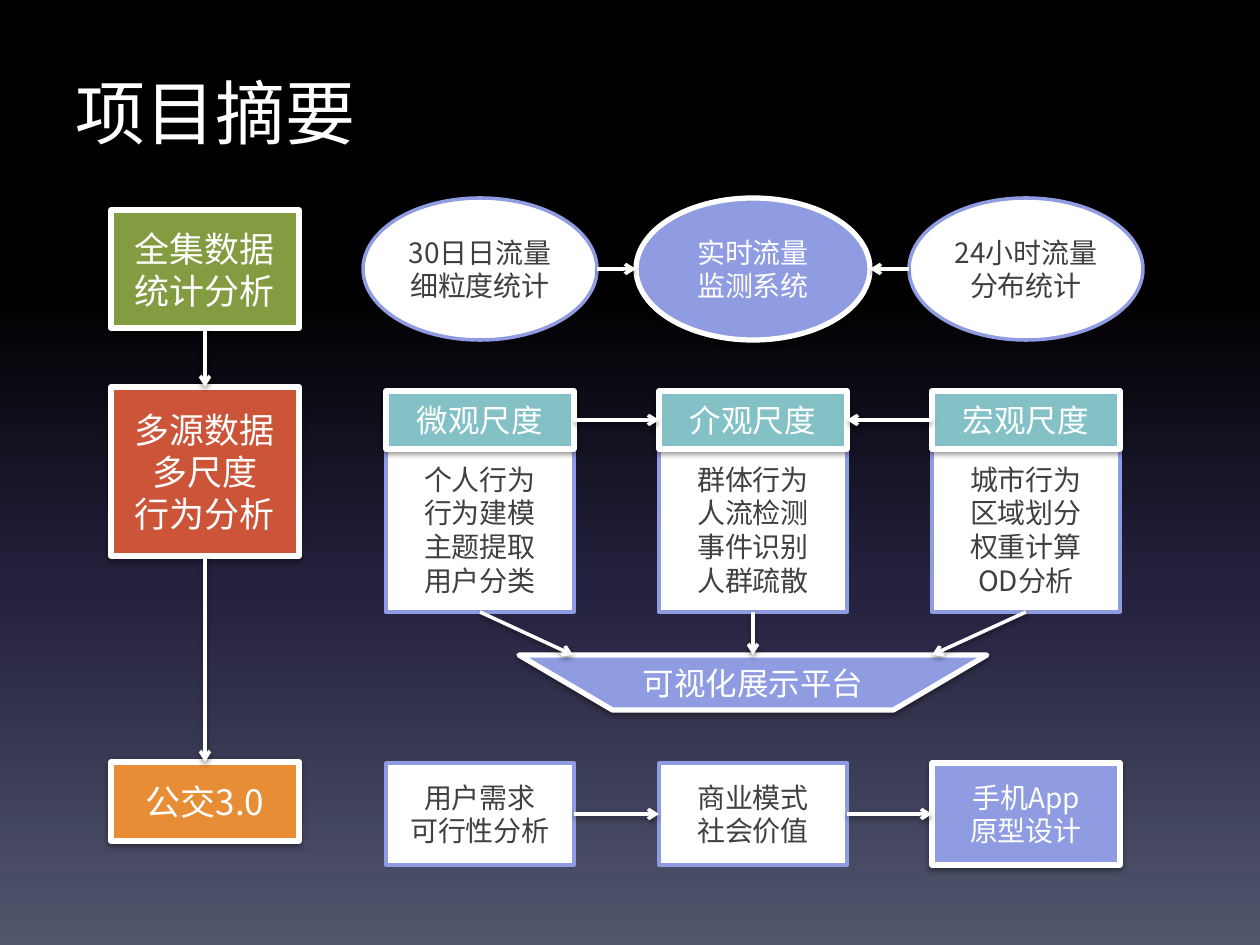
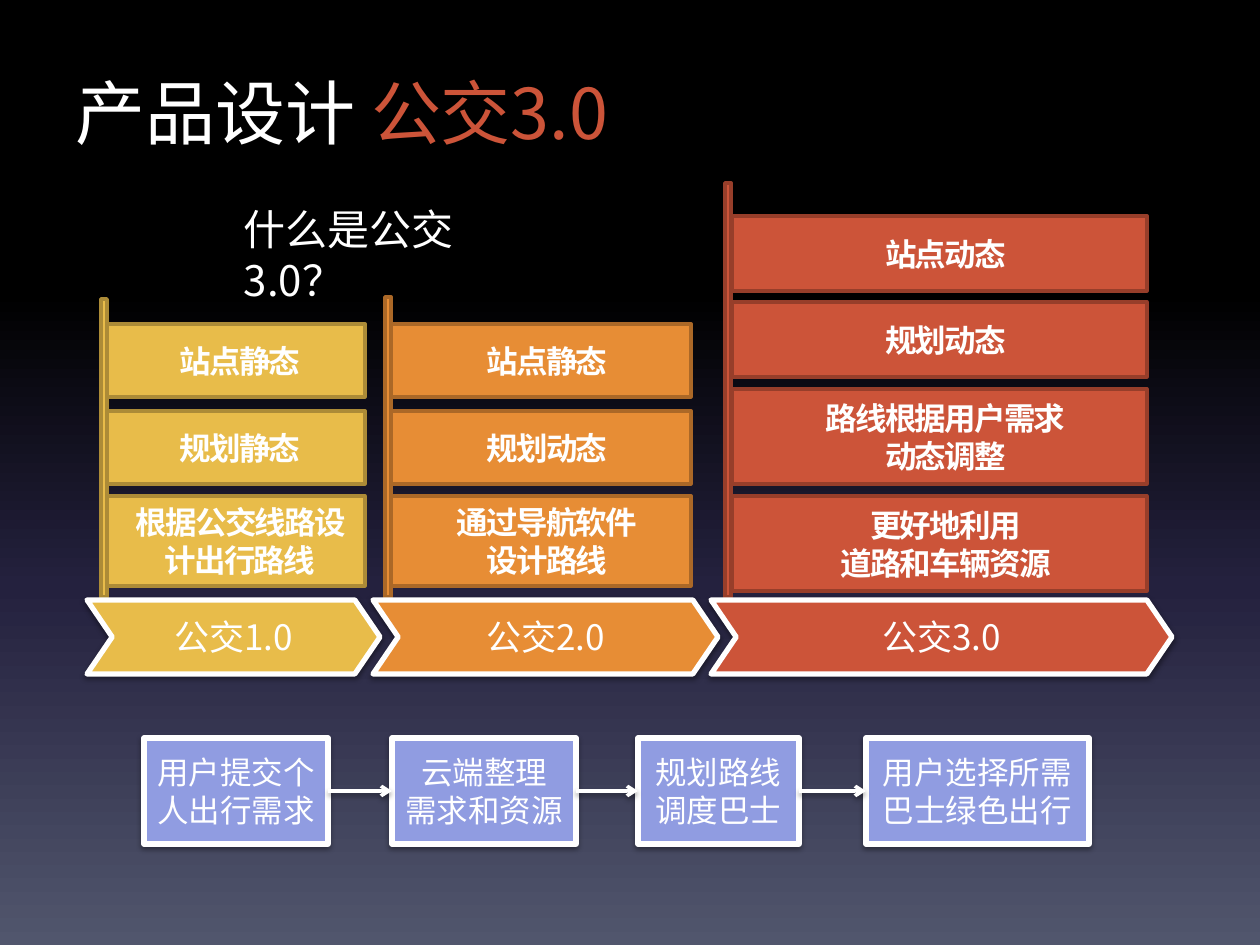
from lxml.etree import SubElement
from pptx import Presentation
from pptx.dml.color import RGBColor
from pptx.enum.shapes import MSO_CONNECTOR, MSO_SHAPE
from pptx.enum.text import MSO_ANCHOR, PP_ALIGN
from pptx.oxml.ns import qn
from pptx.util import Emu, Pt

WHITE = RGBColor(0xFF, 0xFF, 0xFF)
BLACK = RGBColor(0x00, 0x00, 0x00)
INK = RGBColor(0x40, 0x40, 0x40)
NIGHT = RGBColor(0x24, 0x21, 0x3E)
SLATE = RGBColor(0x51, 0x56, 0x6D)
LAVENDER = RGBColor(0x90, 0x9C, 0xE1)
TEAL = RGBColor(0x83, 0xC1, 0xC6)
GREEN = RGBColor(0x83, 0x9C, 0x41)
RED = RGBColor(0xCC, 0x54, 0x39)
DARK_RED = RGBColor(0x97, 0x3E, 0x2A)
ORANGE = RGBColor(0xE7, 0x8D, 0x35)
DARK_ORANGE = RGBColor(0xAB, 0x68, 0x27)
YELLOW = RGBColor(0xE8, 0xBC, 0x4A)
DARK_YELLOW = RGBColor(0xAC, 0x8B, 0x37)

TITLE_FONT = "Noto Sans CJK JP"
BODY_FONT = "Noto Sans CJK SC"
LABEL_FONT = "Calibri"
TOP, LEFT, BOTTOM, RIGHT = range(4)
COLUMN_CENTRES = [480 + 273 * column for column in range(3)]
STAGE_CENTRE = 205
BOX_WIDTH = 188
OVAL_INSETS = (11, 6, 11, 6)
CHEVRON_TOP = 600
POLE_BOTTOM = 597


def px(length):
    """Turn pixels into EMU."""
    return Emu(round(length * 914400 / 126))


def paint_background(master):
    """Give the master the vertical night gradient."""
    fill = master.background.fill
    fill.gradient()
    fill.gradient_angle = 270
    stops = next(master.element.iter(qn("a:gsLst")))
    for stop in list(stops):
        stops.remove(stop)
    for percent, colour in ((0, BLACK), (31, BLACK), (62, NIGHT), (100, SLATE)):
        stop = SubElement(stops, qn("a:gs"), pos=str(percent * 1000))
        SubElement(stop, qn("a:srgbClr"), val=str(colour))


def style_paragraph(para, size, colour, font=BODY_FONT, bold=False, tracking=0):
    """Set the font of a paragraph for Latin and East Asian text."""
    para.font.name = font
    para.font.size = Pt(size)
    para.font.bold = bold
    para.font.color.rgb = colour
    properties = para._p.pPr.find(qn("a:defRPr"))
    if tracking:
        properties.set("spc", str(tracking * 100))
    SubElement(properties, qn("a:ea"), typeface=font)


def cast_shadow(shape):
    """Add the soft shadow that falls straight down."""
    effects = SubElement(shape._element.spPr, qn("a:effectLst"))
    shadow = SubElement(effects, qn("a:outerShdw"), blurRad="39370", dist="20320",
                        dir="5400000", rotWithShape="0")
    colour = SubElement(shadow, qn("a:srgbClr"), val=str(BLACK))
    SubElement(colour, qn("a:alpha"), val="38000")


def add_page(deck, *title_parts):
    """Add a title-only slide whose title is made of (text, colour) parts."""
    page = deck.slides.add_slide(deck.slide_layouts[5])
    title = page.shapes.title
    title.left, title.top, title.width, title.height = map(px, (63, 63, 1134, 157))
    title.text_frame.vertical_anchor = MSO_ANCHOR.TOP
    para = title.text_frame.paragraphs[0]
    para.alignment = PP_ALIGN.LEFT
    style_paragraph(para, 40, WHITE, TITLE_FONT)
    for text, colour in title_parts:
        span = para.add_run()
        span.text = text
        span.font.color.rgb = colour
    return page


def add_box(page, area, fill, edge, kind=MSO_SHAPE.RECTANGLE, raised=False):
    """Draw a filled and outlined shape."""
    box = page.shapes.add_shape(kind, *map(px, area))
    box.fill.solid()
    box.fill.fore_color.rgb = fill
    box.line.color.rgb = edge
    box.line.width = Pt(3 if raised else 2)
    if raised:
        cast_shadow(box)
    else:
        box.shadow.inherit = False
    return box


def write(box, lines, size, colour=WHITE, insets=(13, 6, 13, 6), align=PP_ALIGN.CENTER,
          anchor=MSO_ANCHOR.MIDDLE, **style):
    """Fill a shape with one paragraph per line."""
    frame = box.text_frame
    frame.word_wrap = True
    frame.vertical_anchor = anchor
    frame.margin_left, frame.margin_top, frame.margin_right, frame.margin_bottom = map(px, insets)
    frame.text = lines
    for para in frame.paragraphs:
        para.alignment = align
        style_paragraph(para, size, colour, **style)


def add_raised(page, area, fill, lines, size, kind=MSO_SHAPE.RECTANGLE, **style):
    """Draw a coloured shape with a white edge, a shadow and white text."""
    box = add_box(page, area, fill, WHITE, kind, raised=True)
    write(box, lines, size, **style)
    return box


def add_plain(page, area, lines, kind=MSO_SHAPE.RECTANGLE, **style):
    """Draw a white shape with a lavender edge and dark text."""
    box = add_box(page, area, WHITE, LAVENDER, kind)
    write(box, lines, 16, INK, **style)
    return box


def add_arrow(page, begin, end):
    """Draw a white arrow between two points."""
    arrow = page.shapes.add_connector(MSO_CONNECTOR.STRAIGHT, *map(px, begin + end))
    arrow.line.color.rgb = WHITE
    arrow.line.width = Pt(2)
    SubElement(arrow._element.spPr.find(qn("a:ln")), qn("a:tailEnd"), type="arrow")
    cast_shadow(arrow)
    return arrow


def link(page, source, source_side, target, target_side):
    """Join the sides of two shapes with an arrow."""
    arrow = add_arrow(page, (0, 0), (0, 0))
    arrow.begin_connect(source, source_side)
    arrow.end_connect(target, target_side)


def centred(centre, top, width, height):
    """Return the area of a shape around a vertical axis."""
    return centre - width // 2, top, width, height


def add_stages(page):
    """Draw the three project stages on the left."""
    stages = [
        add_raised(page, centred(STAGE_CENTRE, top, BOX_WIDTH, height), fill, lines, 20)
        for top, height, fill, lines in (
            (210, 118, GREEN, "全集数据\n统计分析"),
            (387, 169, RED, "多源数据\n多尺度\n行为分析"),
            (762, 79, ORANGE, "公交3.0"),
        )
    ]
    for source, target in zip(stages, stages[1:]):
        link(page, source, BOTTOM, target, TOP)


def add_flow_row(page):
    """Draw the ellipses of the traffic statistics."""
    daily, live, hourly = [centred(centre, 198, 234, 142) for centre in COLUMN_CENTRES]
    add_plain(page, daily, "30日日流量\n细粒度统计", MSO_SHAPE.OVAL, insets=OVAL_INSETS)
    add_raised(page, live, LAVENDER, "实时流量\n监测系统", 16, MSO_SHAPE.OVAL, insets=OVAL_INSETS)
    add_plain(page, hourly, "24小时流量分布统计", MSO_SHAPE.OVAL, insets=OVAL_INSETS)
    add_arrow(page, (daily[0] + 234, 269), (live[0], 269))
    add_arrow(page, (hourly[0], 269), (live[0] + 234, 269))


def add_scales(page):
    """Draw the three scales of analysis and the platform they feed."""
    bodies, headers = [], []
    for centre, name, topics in zip(COLUMN_CENTRES, ("微观尺度", "介观尺度", "宏观尺度"), (
            "个人行为\n行为建模\n主题提取\n用户分类",
            "群体行为\n人流检测\n事件识别\n人群疏散",
            "城市行为\n区域划分\n权重计算\nOD分析")):
        bodies.append(add_plain(page, centred(centre, 447, BOX_WIDTH, 165), topics))
        headers.append(add_raised(page, centred(centre, 391, BOX_WIDTH, 58), TEAL, name, 18,
                                  font=LABEL_FONT))
    micro, meso, macro = headers
    link(page, micro, RIGHT, meso, LEFT)
    link(page, macro, LEFT, meso, RIGHT)
    platform = add_raised(page, centred(COLUMN_CENTRES[1], 655, 468, 55), LAVENDER,
                          "可视化展示平台", 18, MSO_SHAPE.FLOWCHART_MANUAL_OPERATION,
                          font=LABEL_FONT)
    link(page, bodies[1], BOTTOM, platform, TOP)
    for body, centre, end in ((bodies[0], COLUMN_CENTRES[0], 573),
                              (bodies[2], COLUMN_CENTRES[2], 932)):
        add_arrow(page, (centre, 612), (end, 655)).begin_connect(body, BOTTOM)


def add_product_row(page):
    """Draw the path from user needs to the prototype."""
    needs, value, prototype = [centred(centre, 763, BOX_WIDTH, 102) for centre in COLUMN_CENTRES]
    boxes = [
        add_plain(page, needs, "用户需求\n可行性分析"),
        add_plain(page, value, "商业模式\n社会价值"),
        add_raised(page, prototype, LAVENDER, "手机App\n原型设计", 16),
    ]
    for source, target in zip(boxes, boxes[1:]):
        link(page, source, RIGHT, target, LEFT)


def add_generation(page, name, chevron, pole, flags, fill, edge):
    """Draw one bus generation: a chevron and a pole with its flags."""
    chevron_left, chevron_width = chevron
    pole_left, pole_top = pole
    flag_left, flag_width, rows = flags
    for top, height, lines in rows:
        flag = add_box(page, (flag_left, top, flag_width, height), fill, edge)
        write(flag, lines, 18, insets=(25, 0, 13, 0), bold=True, tracking=-1)
    add_box(page, (pole_left, pole_top, 6, POLE_BOTTOM - pole_top), fill, edge)
    arrow = add_raised(page, (chevron_left, CHEVRON_TOP, chevron_width, 74), fill, name, 20,
                       MSO_SHAPE.CHEVRON, insets=(0, 6, 0, 6))
    arrow.adjustments[0] = 0.34


def add_generations(page):
    """Draw the three bus generations."""
    add_generation(page, "公交1.0", (87, 293), (101, 299), (103, 262, (
        (324, 73, "站点静态"),
        (411, 73, "规划静态"),
        (496, 90, "根据公交线路设计出行路线"),
    )), YELLOW, DARK_YELLOW)
    add_generation(page, "公交2.0", (373, 345), (385, 297), (391, 300, (
        (324, 73, "站点静态"),
        (411, 73, "规划动态"),
        (496, 90, "通过导航软件\n设计路线"),
    )), ORANGE, DARK_ORANGE)
    add_generation(page, "公交3.0", (711, 461), (725, 183), (732, 415, (
        (216, 75, "站点动态"),
        (302, 75, "规划动态"),
        (389, 95, "路线根据用户需求\n动态调整"),
        (496, 95, "更好地利用\n道路和车辆资源"),
    )), RED, DARK_RED)


def add_steps(page):
    """Draw the chain of service steps."""
    steps = [
        add_raised(page, (left, 738, width, 106), LAVENDER, lines, 18, font=LABEL_FONT)
        for left, width, lines in (
            (144, 184, "用户提交个人出行需求"),
            (392, 184, "云端整理\n需求和资源"),
            (638, 161, "规划路线\n调度巴士"),
            (866, 223, "用户选择所需巴士绿色出行"),
        )
    ]
    for source, target in zip(steps, steps[1:]):
        link(page, source, RIGHT, target, LEFT)


def main():
    """Build the two slides."""
    deck = Presentation()
    deck.slide_width, deck.slide_height = px(1260), px(945)
    paint_background(deck.slide_master)

    summary = add_page(deck, ("项目摘要", WHITE))
    add_stages(summary)
    add_flow_row(summary)
    add_scales(summary)
    add_product_row(summary)

    product = add_page(deck, ("产品设计 ", WHITE), ("公交3.0", RED))
    add_generations(product)
    add_steps(product)
    question = product.shapes.add_textbox(*map(px, (231, 198, 329, 63)))
    write(question, "什么是公交3.0？", 24, align=PP_ALIGN.LEFT, anchor=MSO_ANCHOR.TOP)

    deck.save("out.pptx")


if __name__ == "__main__":
    main()
